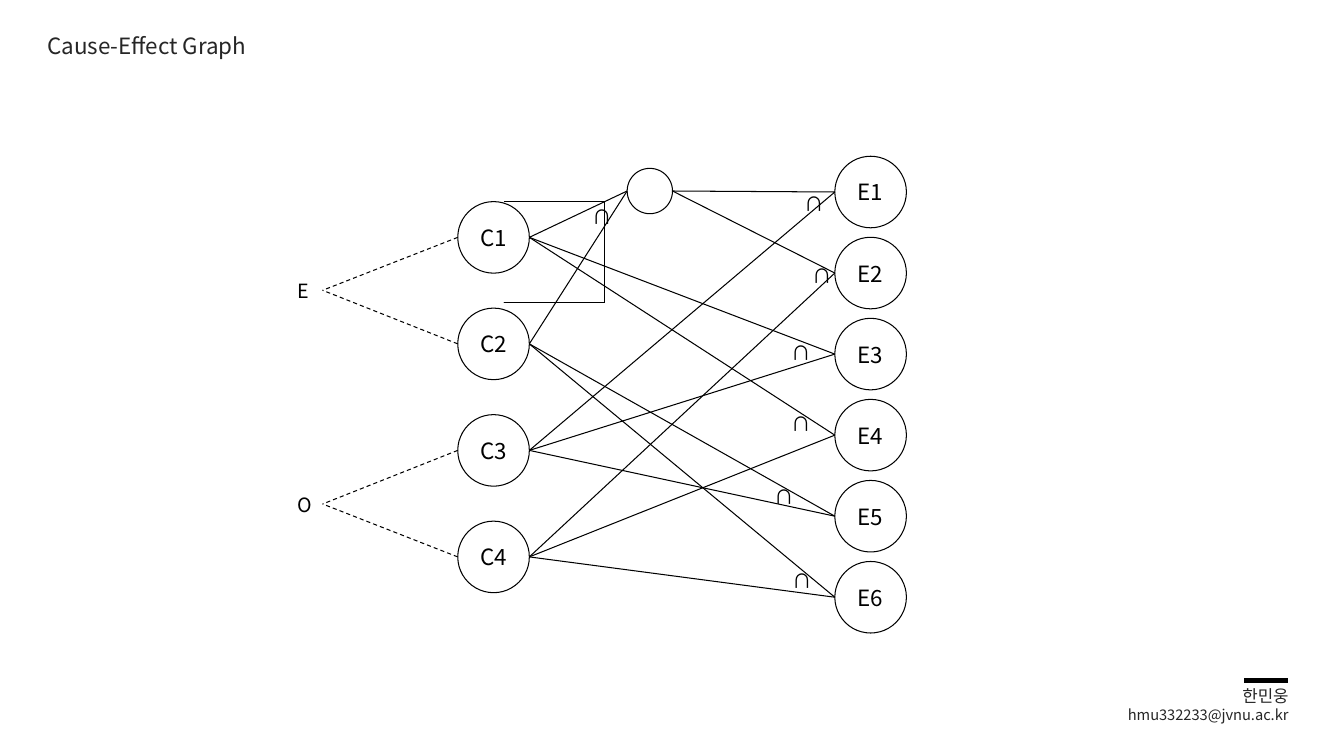
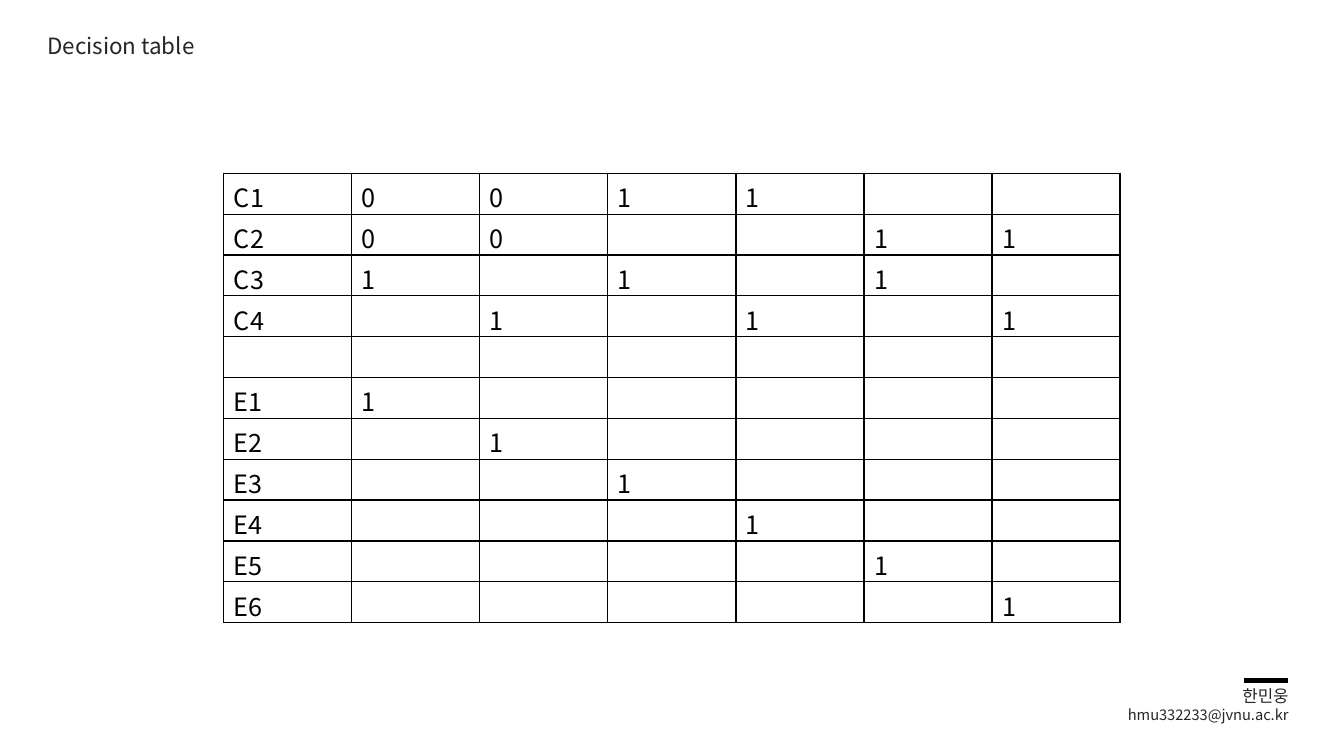
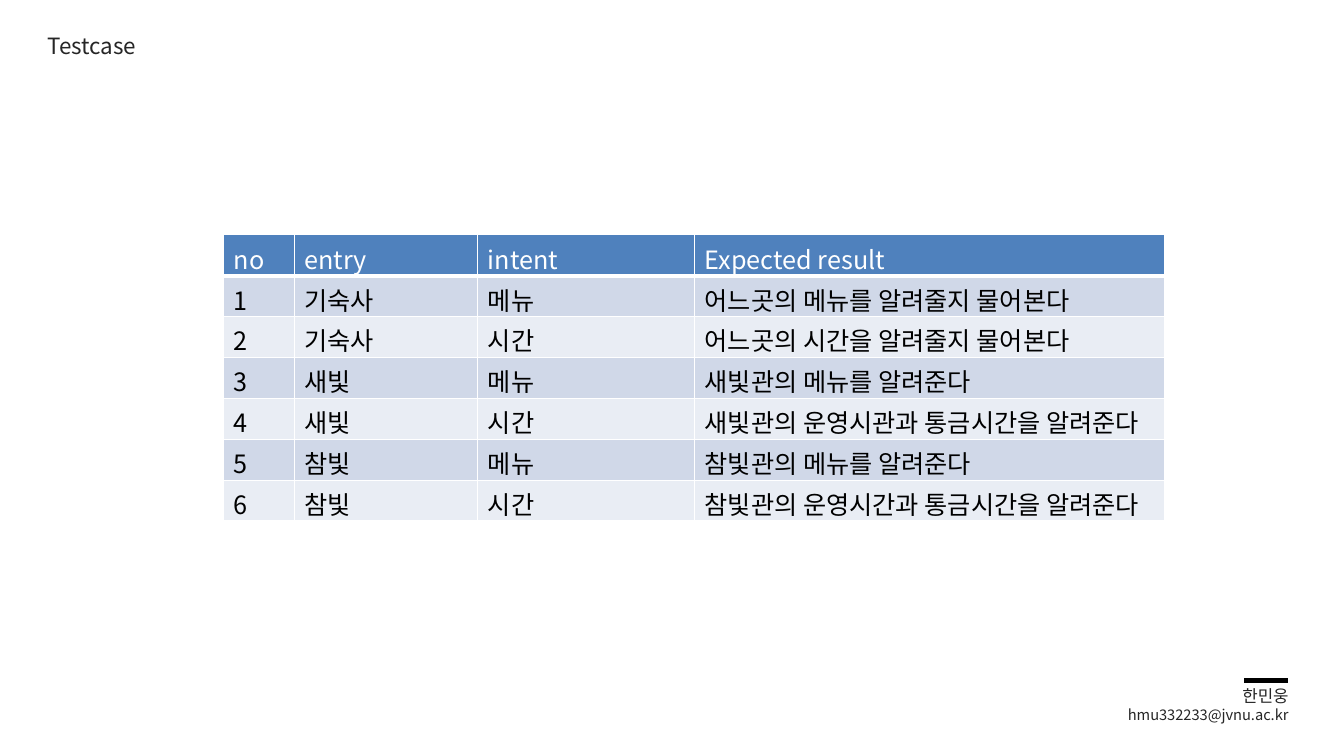
"""Build a three-slide deck: cause-effect graph, decision table and test cases."""
import pptx
import pptx.dml.color
import pptx.enum.dml
import pptx.enum.shapes
import pptx.enum.text
import pptx.oxml.ns
import pptx.util
from lxml import etree

RGBColor = pptx.dml.color.RGBColor
Inches = pptx.util.Inches
Pt = pptx.util.Pt
Align = pptx.enum.text.PP_ALIGN
Anchor = pptx.enum.text.MSO_ANCHOR
qn = pptx.oxml.ns.qn

BLACK = RGBColor(0x00, 0x00, 0x00)
WHITE = RGBColor(0xFF, 0xFF, 0xFF)
CHARCOAL = RGBColor(0x26, 0x26, 0x26)
HEADER_BLUE = RGBColor(0x4F, 0x81, 0xBD)
BAND_DARK = RGBColor(0xD0, 0xD8, 0xE8)
BAND_LIGHT = RGBColor(0xE9, 0xED, 0xF4)
FONT = "Noto Sans CJK KR"

FOOTER = [("한민웅", 12), ("hmu332233@jvnu.ac.kr", 10.5)]

CIRCLE = 0.71
JOINT = 0.45
JOINT_LEFT, JOINT_TOP = 6.22, 1.67
CAUSES = {"names": ["C1", "C2", "C3", "C4"], "left": 4.54, "tops": (2, 5.17)}
EFFECTS = {"names": ["E1", "E2", "E3", "E4", "E5", "E6"], "left": 8.28, "tops": (1.55, 5.57)}
LINKS = [
    ("C2", "E6"), ("C4", "E6"), ("C2", "E5"), ("C3", "E5"),
    ("C1", "E4"), ("C4", "E4"), ("C1", "E3"), ("C3", "E3"),
    ("C1", "joint"), ("C2", "joint"), ("joint", "E1"), ("C3", "E1"),
    ("joint", "E2"), ("C4", "E2"),
]
AND_MARKS = [
    (7.76, 5.59), (7.58, 4.76), (7.75, 4.04), (7.75, 3.33),
    (5.78, 1.98), (7.88, 1.85), (7.96, 2.57),
]
CONSTRAINTS = [("E", 2.88, ("C1", "C2")), ("O", 5, ("C3", "C4"))]
CONSTRAINT_LEFT, CONSTRAINT_TIP = 2.85, 3.2
NEGATIONS = [
    [(5.46, 2.24), (5.46, 2.11), (5.46, 1.97), (5.51, 1.99), (5.56, 2), (5.72, 2.32),
     (5.77, 2.33), (5.82, 2.34), (5.78, 2.16), (5.82, 2.06)],
    [(5.51, 2.95), (5.49, 2.8), (5.46, 2.65), (5.52, 2.62), (5.59, 2.6), (5.83, 2.81),
     (5.88, 2.79), (5.92, 2.77), (5.86, 2.55), (5.8, 2.5)],
]

DECISIONS = [
    ("C1", "0", "0", "1", "1", "", ""),
    ("C2", "0", "0", "", "", "1", "1"),
    ("C3", "1", "", "1", "", "1", ""),
    ("C4", "", "1", "", "1", "", "1"),
    ("", "", "", "", "", "", ""),
    ("E1", "1", "", "", "", "", ""),
    ("E2", "", "1", "", "", "", ""),
    ("E3", "", "", "1", "", "", ""),
    ("E4", "", "", "", "1", "", ""),
    ("E5", "", "", "", "", "1", ""),
    ("E6", "", "", "", "", "", "1"),
]
TESTCASES = [
    ("no", "entry", "intent", "Expected result"),
    ("1", "기숙사", "메뉴", "어느곳의 메뉴를 알려줄지 물어본다"),
    ("2", "기숙사", "시간", "어느곳의 시간을 알려줄지 물어본다"),
    ("3", "새빛", "메뉴", "새빛관의 메뉴를 알려준다"),
    ("4", "새빛", "시간", "새빛관의 운영시관과 통금시간을 알려준다"),
    ("5", "참빛", "메뉴", "참빛관의 메뉴를 알려준다"),
    ("6", "참빛", "시간", "참빛관의 운영시간과 통금시간을 알려준다"),
]
TABLE_LEFT = 2.22


def add_run(paragraph, text, size, color):
    run = paragraph.add_run()
    run.text = text
    run.font.size = Pt(size)
    run.font.name = FONT
    run.font.color.rgb = color
    etree.SubElement(run.font._element, qn("a:ea"), typeface=FONT)


def add_text(slide, box, lines, color, align=Align.LEFT):
    frame = slide.shapes.add_textbox(*map(Inches, box)).text_frame
    frame.word_wrap = True
    for index, (text, size) in enumerate(lines):
        paragraph = frame.add_paragraph() if index else frame.paragraphs[0]
        paragraph.alignment = align
        add_run(paragraph, text, size, color)


def add_line(slide, start, end, width=0.75, dashed=False):
    line = slide.shapes.add_connector(
        pptx.enum.shapes.MSO_CONNECTOR.STRAIGHT, *map(Inches, (*start, *end)))
    line.line.color.rgb = BLACK
    line.line.width = Pt(width)
    if dashed:
        line.line.dash_style = pptx.enum.dml.MSO_LINE.DASH
    etree.SubElement(line._element.spPr, qn("a:effectLst"))


def outline(shape):
    shape.shadow.inherit = False
    shape.fill.background()
    shape.line.color.rgb = BLACK
    shape.line.width = Pt(0.75)


def add_circle(slide, left, top, size, label=""):
    """Draw a circle and return its left and right connection points."""
    shape = slide.shapes.add_shape(
        pptx.enum.shapes.MSO_SHAPE.OVAL, *map(Inches, (left, top, size, size)))
    outline(shape)
    if label:
        frame = shape.text_frame
        frame.word_wrap = False
        frame.margin_left = frame.margin_right = 0
        frame.vertical_anchor = Anchor.MIDDLE
        frame.paragraphs[0].alignment = Align.CENTER
        add_run(frame.paragraphs[0], label, 16, BLACK)
    middle = top + size / 2
    return (left, middle), (left + size, middle)


def bezier_points(controls, steps=12):
    points = [controls[0]]
    for first in range(0, len(controls) - 1, 3):
        segment = controls[first:first + 4]
        for step in range(1, steps + 1):
            t = step / steps
            weights = ((1 - t) ** 3, 3 * t * (1 - t) ** 2, 3 * t * t * (1 - t), t ** 3)
            points.append(tuple(
                sum(weight * point[axis] for weight, point in zip(weights, segment))
                for axis in (0, 1)))
    return points


def add_curve(slide, controls):
    points = bezier_points(controls)
    builder = slide.shapes.build_freeform(*points[0], scale=Inches(1))
    builder.add_line_segments(points[1:], close=False)
    outline(builder.convert_to_shape())


def add_slide(presentation, title):
    slide = presentation.slides.add_slide(presentation.slide_layouts[5])
    shape = slide.shapes.title
    shape.left, shape.top, shape.width, shape.height = map(Inches, (0.37, 0.27, 2.52, 0.37))
    frame = shape.text_frame
    frame.word_wrap = True
    frame.auto_size = pptx.enum.text.MSO_AUTO_SIZE.NONE
    frame.vertical_anchor = Anchor.TOP
    frame.paragraphs[0].alignment = Align.LEFT
    add_run(frame.paragraphs[0], title, 16, CHARCOAL)
    add_line(slide, (12.34, 6.75), (12.77, 6.75), width=3)
    add_text(slide, (10.68, 6.75, 2.2, 0.48), FOOTER, CHARCOAL, Align.RIGHT)
    return slide


def set_borders(cell, color, bottom_width=1):
    properties = cell._tc.get_or_add_tcPr()
    for side in ("L", "R", "T", "B"):
        width = bottom_width if side == "B" else 1
        border = etree.SubElement(properties, qn(f"a:ln{side}"), w=str(Pt(width)))
        fill = etree.SubElement(border, qn("a:solidFill"))
        etree.SubElement(fill, qn("a:srgbClr"), val=str(color))


def add_table(slide, top, height, widths, rows, border, banded=False):
    table = slide.shapes.add_table(
        len(rows), len(widths), *map(Inches, (TABLE_LEFT, top, sum(widths), height))).table
    table.first_row = table.horz_banding = False
    for column, width in zip(table.columns, widths):
        column.width = Inches(width)
    for row_index, values in enumerate(rows):
        table.rows[row_index].height = Inches(height / len(rows))
        header = banded and row_index == 0
        for column_index, text in enumerate(values):
            cell = table.cell(row_index, column_index)
            cell.margin_bottom = 0
            above_header_rule = banded and row_index == 1
            set_borders(cell, border, 3 if header else 1)
            if above_header_rule:
                cell._tc.tcPr.find(qn("a:lnT")).set("w", str(Pt(3)))
            if banded:
                cell.fill.solid()
                band = BAND_DARK if row_index % 2 else BAND_LIGHT
                cell.fill.fore_color.rgb = HEADER_BLUE if header else band
            else:
                cell.fill.background()
            if text:
                add_run(cell.text_frame.paragraphs[0], text, 18, WHITE if header else BLACK)


def draw_graph(slide):
    ports = {"joint": add_circle(slide, JOINT_LEFT, JOINT_TOP, JOINT)}
    for group in (CAUSES, EFFECTS):
        first, last = group["tops"]
        step = (last - first) / (len(group["names"]) - 1)
        for index, name in enumerate(group["names"]):
            ports[name] = add_circle(slide, group["left"], first + index * step, CIRCLE, name)
    for source, target in LINKS:
        add_line(slide, ports[source][1], ports[target][0])
    for left, top in AND_MARKS:
        add_text(slide, (left, top, 0.35, 0.34), [("∩", 14)], BLACK)
    for controls in NEGATIONS:
        add_curve(slide, controls)
    for label, middle, causes in CONSTRAINTS:
        for cause in causes:
            add_line(slide, ports[cause][0], (CONSTRAINT_TIP, middle), dashed=True)
        add_text(slide, (CONSTRAINT_LEFT, middle - 0.16, 0.35, 0.34), [(label, 14)], BLACK)


def main():
    presentation = pptx.Presentation()
    presentation.slide_width, presentation.slide_height = Inches(13.33), Inches(7.5)
    draw_graph(add_slide(presentation, "Cause-Effect Graph"))
    add_table(add_slide(presentation, "Decision table"), 1.72, 4.46, [1.27] * 7, DECISIONS, BLACK)
    add_table(add_slide(presentation, "Testcase"), 2.33, 2.84, [0.7, 1.82, 2.15, 4.66],
              TESTCASES, WHITE, banded=True)
    presentation.save("out.pptx")


if __name__ == "__main__":
    main()
